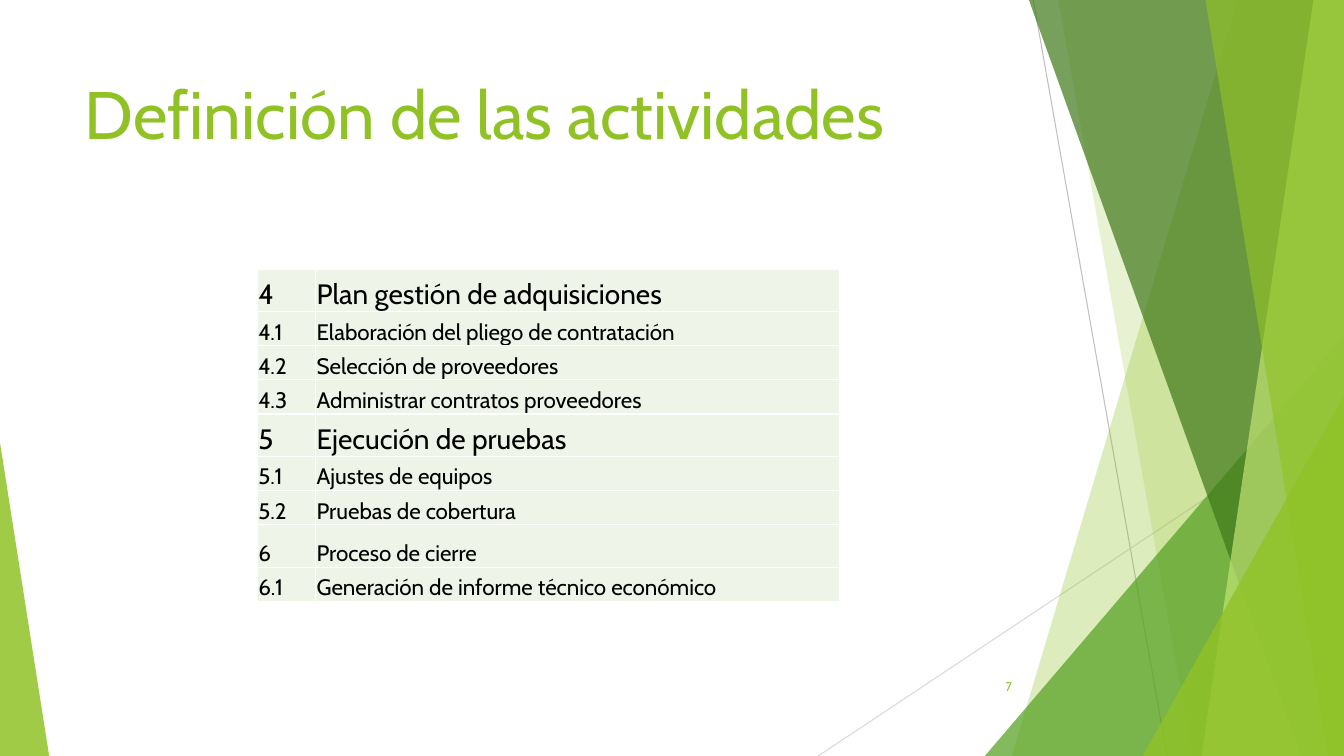
from lxml import etree
from pptx import Presentation
from pptx.dml.color import RGBColor
from pptx.enum.shapes import MSO_CONNECTOR, MSO_SHAPE
from pptx.enum.text import MSO_ANCHOR, PP_ALIGN
from pptx.oxml.ns import qn
from pptx.util import Cm, Pt

STRAIGHT = MSO_CONNECTOR.STRAIGHT
TRIANGLE = MSO_SHAPE.ISOSCELES_TRIANGLE
TOP, MIDDLE, BOTTOM = MSO_ANCHOR.TOP, MSO_ANCHOR.MIDDLE, MSO_ANCHOR.BOTTOM
LEFT, RIGHT = PP_ALIGN.LEFT, PP_ALIGN.RIGHT

FONT = "Cabin"
GREEN, BLACK, WHITE, ROW_FILL = "90C226", "000000", "FFFFFF", "EEF4E8"
WIDTH, HEIGHT = 33.87, 19.05

TITLE = "Definición de las actividades"
PAGE_NUMBER = "7"

TALL, NORMAL = 1.07, 0.86
COLUMN_WIDTHS = (1.47, 13.21)
# number, activity, text size, row height
ACTIVITIES = [
    ("4", "Plan gestión de adquisiciones", 20, TALL),
    ("4.1", "Elaboración del pliego de contratación", 16, NORMAL),
    ("4.2", "Selección de proveedores", 16, NORMAL),
    ("4.3", "Administrar contratos proveedores", 16, NORMAL),
    ("5", "Ejecución de pruebas", 20, TALL),
    ("5.1", "Ajustes de equipos", 16, NORMAL),
    ("5.2", "Pruebas de cobertura", 16, NORMAL),
    ("6", "Proceso de cierre", 16, TALL),
    ("6.1", "Generación de informe técnico económico", 16, NORMAL),
]

# start, end, colour
RAYS = [
    ((26.04, 0), (29.41, HEIGHT), "BFBFBF"),
    ((WIDTH, 10.24), (20.62, HEIGHT), "D9D9D9"),
]
# Bands reach the right edge: left x at the top, left x at the bottom, colour, opacity
BACK_BANDS = [(31.19, 25.5, GREEN, 30), (26.67, 30.05, GREEN, 20)]
FRONT_BANDS = [
    (25.93, 32.79, "3F7819", 70),
    (33.1, 30.28, "C0E474", 70),
    (30.38, 33.48, GREEN, 65),
]
# Wedges stand on the bottom edge: left, top, width, apex, colour, opacity
BACK_WEDGE = (24.82, 8.46, 9.05, 1, "54A021", 72)
FRONT_WEDGES = [(28.8, 9.98, 5.07, 1, GREEN, 80), (0, 11.15, 1.24, 0, GREEN, 85)]


def rgb(hex_colour):
    return RGBColor.from_string(hex_colour)


def write(frame, text, size, colour=BLACK, align=LEFT, anchor=TOP):
    frame.word_wrap = True
    frame.vertical_anchor = anchor
    paragraph = frame.paragraphs[0]
    paragraph.alignment = align
    run = paragraph.add_run()
    run.text = text
    run.font.name = FONT
    run.font.size = Pt(size)
    run.font.color.rgb = rgb(colour)


def paint(shape, colour, opacity):
    shape.shadow.inherit = False
    shape.line.fill.background()
    shape.fill.solid()
    shape.fill.fore_color.rgb = rgb(colour)
    solid = shape.fill._xPr.find(qn("a:solidFill"))
    etree.SubElement(solid[0], qn("a:alpha"), val=str(opacity * 1000))


def add_ray(shapes, start, end, colour):
    ray = shapes.add_connector(STRAIGHT, *map(Cm, start + end))
    ray.line.color.rgb = rgb(colour)
    ray.line.width = Pt(0.75)
    etree.SubElement(ray._element.spPr, qn("a:effectLst"))


def add_band(shapes, top_x, bottom_x, colour, opacity):
    outline = shapes.build_freeform(Cm(top_x), 0)
    corners = [(WIDTH, 0), (WIDTH, HEIGHT), (bottom_x, HEIGHT)]
    outline.add_line_segments([(Cm(x), Cm(y)) for x, y in corners], close=True)
    paint(outline.convert_to_shape(), colour, opacity)


def add_wedge(shapes, left, top, width, apex, colour, opacity):
    wedge = shapes.add_shape(TRIANGLE, Cm(left), Cm(top), Cm(width), Cm(HEIGHT - top))
    wedge.adjustments[0] = apex
    paint(wedge, colour, opacity)


def add_borders(cell):
    """Draw thin white lines on all four sides; call before setting the fill."""
    properties = cell._tc.get_or_add_tcPr()
    for side in ("a:lnL", "a:lnR", "a:lnT", "a:lnB"):
        line = etree.SubElement(properties, qn(side), w=str(Pt(1)))
        solid = etree.SubElement(line, qn("a:solidFill"))
        etree.SubElement(solid, qn("a:srgbClr"), val=WHITE)


def add_activities(shapes):
    height = sum(row[-1] for row in ACTIVITIES)
    table = shapes.add_table(
        len(ACTIVITIES), len(COLUMN_WIDTHS),
        Cm(6.48), Cm(6.78), Cm(sum(COLUMN_WIDTHS)), Cm(height),
    ).table
    table.first_row = table.horz_banding = False
    for column, width in zip(table.columns, COLUMN_WIDTHS):
        column.width = Cm(width)
    for row, (number, activity, size, row_height) in zip(table.rows, ACTIVITIES):
        row.height = Cm(row_height)
        for cell, text in zip(row.cells, (number, activity)):
            cell.margin_left = cell.margin_right = cell.margin_top = Cm(0.03)
            cell.margin_bottom = 0
            add_borders(cell)
            cell.fill.solid()
            cell.fill.fore_color.rgb = rgb(ROW_FILL)
            write(cell.text_frame, text, size)
            cell.vertical_anchor = BOTTOM


def main():
    deck = Presentation()
    deck.slide_width, deck.slide_height = Cm(WIDTH), Cm(HEIGHT)
    slide = deck.slides.add_slide(deck.slide_layouts[5])
    shapes = slide.shapes

    for ray in RAYS:
        add_ray(shapes, *ray)
    for band in BACK_BANDS:
        add_band(shapes, *band)
    add_wedge(shapes, *BACK_WEDGE)
    for band in FRONT_BANDS:
        add_band(shapes, *band)
    for wedge in FRONT_WEDGES:
        add_wedge(shapes, *wedge)

    title = shapes.title
    title.left, title.top, title.width, title.height = map(Cm, (1.88, 1.7, 23.88, 2.46))
    write(title.text_frame, TITLE, 48, colour=GREEN)

    add_activities(shapes)

    page = shapes.add_textbox(Cm(23.85), Cm(16.79), Cm(1.9), Cm(1.02))
    write(page.text_frame, PAGE_NUMBER, 9, colour=GREEN, align=RIGHT, anchor=MIDDLE)

    deck.save("out.pptx")


if __name__ == "__main__":
    main()
